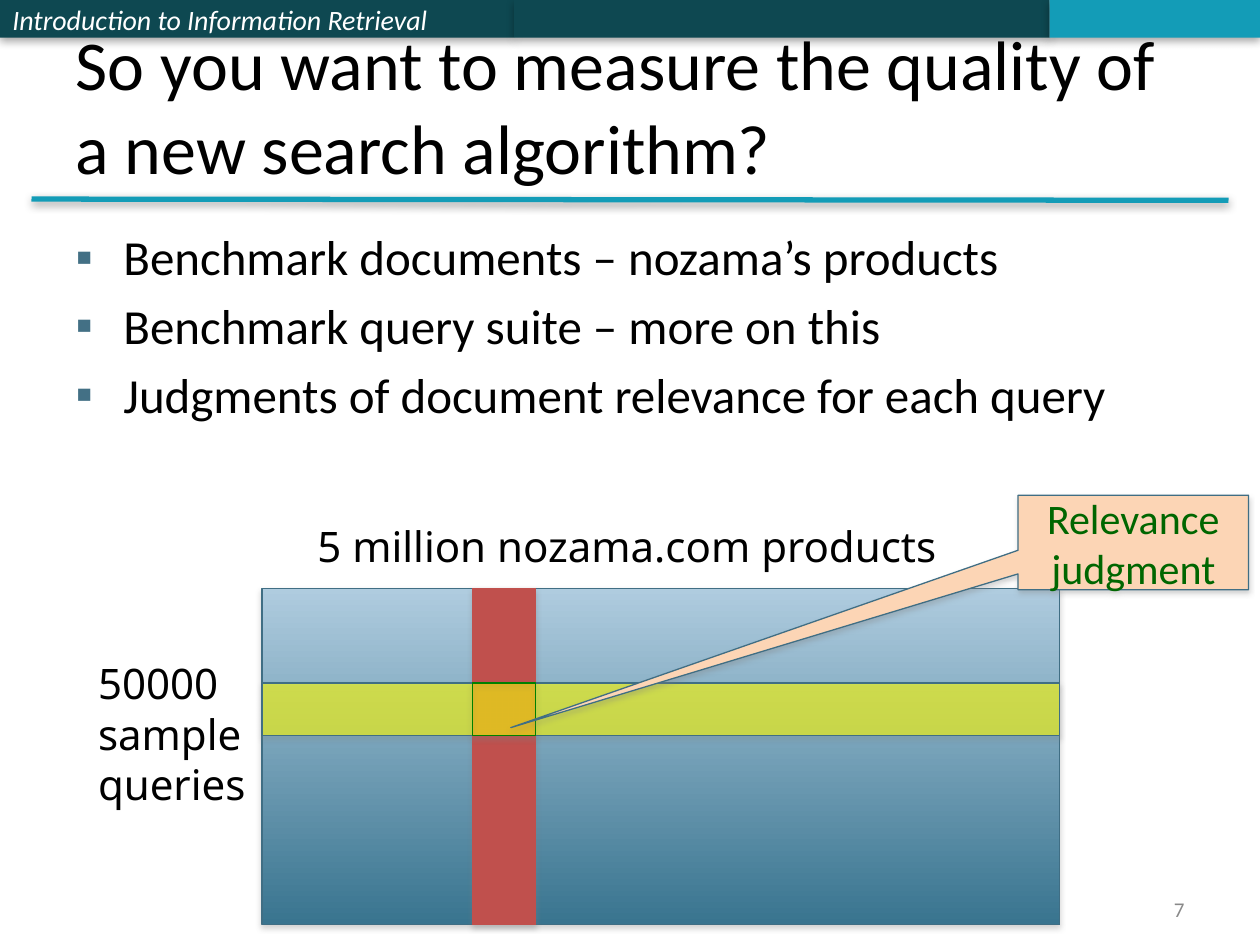
"""Build a slide on measuring the quality of a new search algorithm."""
from typing import NamedTuple, Optional

from lxml.etree import SubElement
from pptx import Presentation
from pptx.dml.color import RGBColor
from pptx.enum.shapes import MSO_CONNECTOR, MSO_SHAPE
from pptx.enum.text import MSO_ANCHOR, MSO_AUTO_SIZE, PP_ALIGN
from pptx.oxml.ns import qn
from pptx.util import Inches, Pt

BLACK = RGBColor(0x00, 0x00, 0x00)
WHITE = RGBColor(0xFF, 0xFF, 0xFF)
DARK_TEAL = RGBColor(0x0E, 0x48, 0x51)
TEAL = RGBColor(0x13, 0x9C, 0xB7)
BULLET = RGBColor(0x43, 0x70, 0x85)
OUTLINE = RGBColor(0x40, 0x6E, 0x84)
PALE_BLUE = RGBColor(0xAF, 0xCC, 0xDF)
DEEP_BLUE = RGBColor(0x39, 0x74, 0x8F)
RED = RGBColor(0xC0, 0x50, 0x4D)
YELLOW = RGBColor(0xFF, 0xFF, 0x00)
GREEN = RGBColor(0x00, 0x80, 0x00)
DARK_GREEN = RGBColor(0x00, 0x66, 0x00)
PEACH = RGBColor(0xFC, 0xD5, 0xB5)
GREY = RGBColor(0x80, 0x80, 0x80)
NUMBER_GREY = RGBColor(0x89, 0x89, 0x89)


class Shadow(NamedTuple):
    color: RGBColor
    alpha: int
    blur: float
    dist: float


class Block(NamedTuple):
    left: float
    top: float
    width: float
    height: float
    fill: Optional[RGBColor] = None
    line: Optional[RGBColor] = None
    kind: MSO_SHAPE = MSO_SHAPE.RECTANGLE


class Label(NamedTuple):
    lines: list
    size: int
    color: RGBColor = BLACK
    font: str = "Calibri"
    align: PP_ALIGN = PP_ALIGN.LEFT
    italic: bool = False


BAR_SHADOW = Shadow(BLACK, 35, 5, 1.8)
RULE_SHADOW = Shadow(BLACK, 38, 5, 1.6)
BLOCK_SHADOW = Shadow(GREY, 35, 3.1, 1.8)

GRID_LEFT, GRID_TOP, GRID_W, GRID_H = 2.08, 4.67, 6.33, 2.67
COL_LEFT, COL_W = 3.75, 0.5
ROW_TOP, ROW_H = 5.42, 0.42


def add_shadow(sp, shadow: Shadow) -> None:
    effects = SubElement(sp._element.spPr, qn("a:effectLst"))
    outer = SubElement(effects, qn("a:outerShdw"), blurRad=str(Pt(shadow.blur)),
                       dist=str(Pt(shadow.dist)), dir="5400000", rotWithShape="0")
    clr = SubElement(outer, qn("a:srgbClr"), val=str(shadow.color))
    SubElement(clr, qn("a:alpha"), val=str(shadow.alpha * 1000))


def add_block(s, block: Block, shadow: Shadow):
    sp = s.shapes.add_shape(block.kind, Inches(block.left), Inches(block.top),
                            Inches(block.width), Inches(block.height))
    if block.fill is None:
        sp.fill.background()
    else:
        sp.fill.solid()
        sp.fill.fore_color.rgb = block.fill
    if block.line is None:
        sp.line.fill.background()
    else:
        sp.line.color.rgb = block.line
        sp.line.width = Pt(0.75)
    add_shadow(sp, shadow)
    return sp


def write(tf, label: Label, anchor: MSO_ANCHOR = MSO_ANCHOR.TOP) -> None:
    tf.vertical_anchor = anchor
    for i, line in enumerate(label.lines):
        p = tf.paragraphs[0] if i == 0 else tf.add_paragraph()
        p.text = line
        p.alignment = label.align
        p.font.name = label.font
        p.font.size = Pt(label.size)
        p.font.color.rgb = label.color
        p.font.italic = label.italic


def add_text(s, left: float, top: float, width: float, height: float,
             label: Label, anchor: MSO_ANCHOR = MSO_ANCHOR.TOP,
             grow: bool = True) -> None:
    box = s.shapes.add_textbox(Inches(left), Inches(top), Inches(width), Inches(height))
    tf = box.text_frame
    tf.word_wrap = not grow
    tf.auto_size = MSO_AUTO_SIZE.SHAPE_TO_FIT_TEXT if grow else MSO_AUTO_SIZE.NONE
    write(tf, label, anchor)


def fill_placeholder(ph, top: float, height: float, label: Label,
                     anchor: MSO_ANCHOR) -> None:
    ph.left, ph.top, ph.width, ph.height = map(Inches, (0.5, top, 9, height))
    ph.text_frame.auto_size = MSO_AUTO_SIZE.NONE
    write(ph.text_frame, label, anchor)


def add_bullets(tf) -> None:
    for i, p in enumerate(tf.paragraphs):
        p.space_before = Pt(5.6 if i else 0)
        pPr = p._p.get_or_add_pPr()
        pPr.set("marL", str(Inches(0.38)))
        pPr.set("indent", str(-Inches(0.38)))
        color = pPr.makeelement(qn("a:buClr"))
        SubElement(color, qn("a:srgbClr"), val=str(BULLET))
        char = pPr.makeelement(qn("a:buChar"), char="▪")
        defaults = pPr.find(qn("a:defRPr"))
        defaults.addprevious(color)
        defaults.addprevious(char)


def add_header(s) -> None:
    bars = [add_block(s, Block(left, 0, width, 0.3, fill), BAR_SHADOW)
            for left, width, fill in ((0, 4.08, DARK_TEAL), (4.08, 4.25, DARK_TEAL),
                                      (8.33, 1.67, TEAL))]
    write(bars[0].text_frame, Label(["Introduction to Information Retrieval"], 16,
                                    WHITE, italic=True), MSO_ANCHOR.MIDDLE)
    rule = s.shapes.add_connector(MSO_CONNECTOR.STRAIGHT, Inches(0.25), Inches(1.58),
                                  Inches(9.75), Inches(1.59))
    rule.line.color.rgb = TEAL
    rule.line.width = Pt(3)
    add_shadow(rule, RULE_SHADOW)


def add_judgment_grid(s) -> None:
    grid = add_block(s, Block(GRID_LEFT, GRID_TOP, GRID_W, GRID_H, PALE_BLUE, OUTLINE),
                     BLOCK_SHADOW)
    grid.fill.gradient()
    grid.fill.gradient_angle = 270
    for stop, position, color in zip(grid.fill.gradient_stops, (0, 1),
                                     (PALE_BLUE, DEEP_BLUE)):
        stop.position = position
        stop.color.rgb = color
    add_block(s, Block(COL_LEFT, GRID_TOP, COL_W, GRID_H, RED, RED), BLOCK_SHADOW)
    row = add_block(s, Block(GRID_LEFT, ROW_TOP, GRID_W, ROW_H, YELLOW, OUTLINE),
                    BLOCK_SHADOW)
    clr = row._element.spPr.find(qn("a:solidFill")).find(qn("a:srgbClr"))
    SubElement(clr, qn("a:alpha"), val="58000")
    add_block(s, Block(COL_LEFT, ROW_TOP, COL_W, ROW_H, line=GREEN), BLOCK_SHADOW)

    add_text(s, 2.42, 4.08, 5.39, 0.51,
             Label(["5 million nozama.com products"], 24, font="Noto Sans"))
    add_text(s, 0.68, 5.17, 1.4, 1.31,
             Label(["50000", "sample", "queries"], 24, font="Noto Sans"))

    callout = add_block(s, Block(8.08, 3.93, 1.83, 0.75, PEACH, OUTLINE,
                                 MSO_SHAPE.RECTANGULAR_CALLOUT), BLOCK_SHADOW)
    callout.adjustments[0] = -2.7
    callout.adjustments[1] = 1.96
    write(callout.text_frame, Label(["Relevance", "judgment"], 24, DARK_GREEN,
                                    align=PP_ALIGN.CENTER), MSO_ANCHOR.MIDDLE)


def main() -> None:
    prs = Presentation()
    prs.slide_width, prs.slide_height = Inches(10), Inches(7.5)
    s = prs.slides.add_slide(prs.slide_layouts[1])
    title, body = s.placeholders
    fill_placeholder(title, 0.3, 1.25, Label(
        ["So you want to measure the quality of a new search algorithm?"], 40),
        MSO_ANCHOR.BOTTOM)
    fill_placeholder(body, 1.75, 5.42, Label(
        ["Benchmark documents – nozama’s products",
         "Benchmark query suite – more on this",
         "Judgments of document relevance for each query"], 28), MSO_ANCHOR.TOP)
    add_bullets(body.text_frame)
    add_header(s)
    add_text(s, 7.17, 7.08, 2.33, 0.27,
             Label(["7"], 12, NUMBER_GREY, align=PP_ALIGN.RIGHT),
             MSO_ANCHOR.MIDDLE, grow=False)
    add_judgment_grid(s)
    prs.save("out.pptx")


if __name__ == "__main__":
    main()
